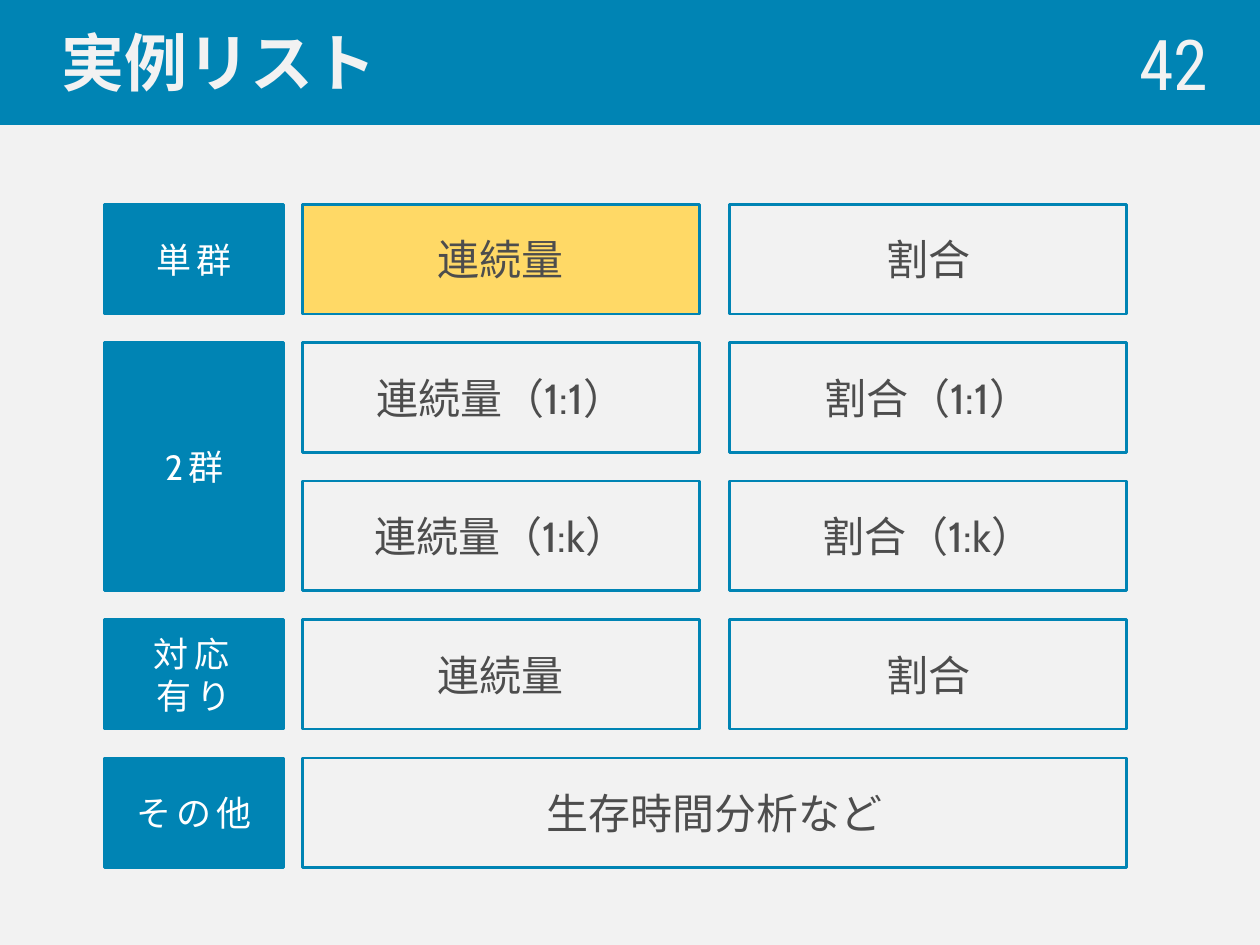
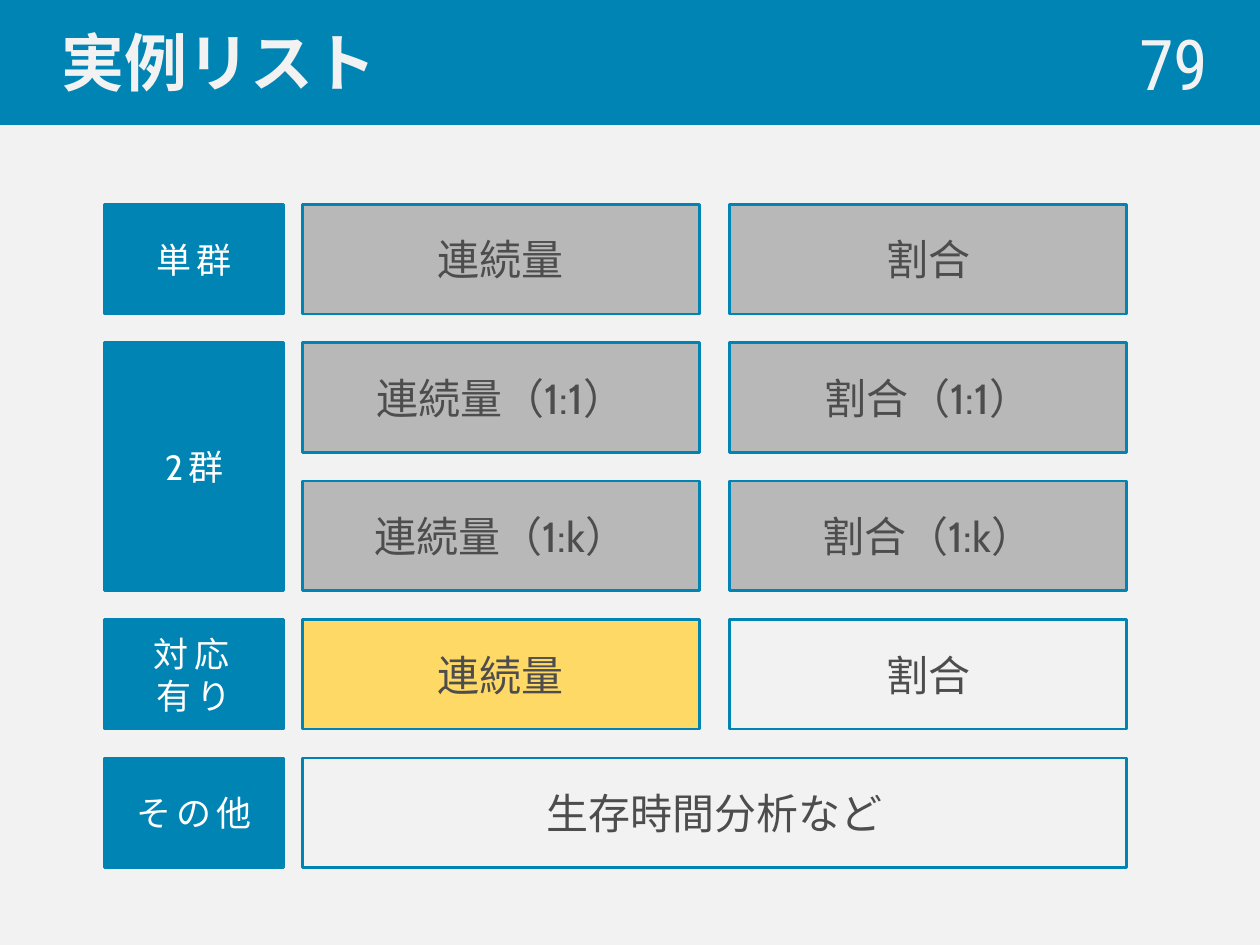
from dataclasses import dataclass
from lxml import etree
from pptx import Presentation
from pptx.dml.color import RGBColor
from pptx.enum.shapes import MSO_SHAPE
from pptx.enum.text import MSO_ANCHOR, PP_ALIGN
from pptx.oxml.ns import qn
from pptx.util import Cm, Pt

RECT = MSO_SHAPE.RECTANGLE
MIDDLE = MSO_ANCHOR.MIDDLE
LEFT, CENTER, RIGHT = PP_ALIGN.LEFT, PP_ALIGN.CENTER, PP_ALIGN.RIGHT


@dataclass(frozen=True)
class Theme:
    blue: str = "0084B4"
    paper: str = "F2F2F2"
    white: str = "FFFFFF"
    ink: str = "4D4D4D"
    current: str = "FFD966"
    done: str = "B8B8B8"
    title_font: str = "Noto Sans CJK JP"
    number_font: str = "Roboto Condensed"
    body_font: str = "Cabin"
    title_size: int = 36
    number_size: int = 40
    cell_size: int = 24
    label_size: int = 20
    line: float = 1.5


T = Theme()


def write(sp, text, *, size, color, font=T.body_font, bold=False,
          align=CENTER, spacing=0, indent=0.25):
    """Put text in a shape; a vertical tab marks a line break."""
    tf = sp.text_frame
    tf.word_wrap = True
    tf.vertical_anchor = MIDDLE
    tf.margin_left = Cm(indent)
    p = tf.paragraphs[0]
    p.text = text
    p.alignment = align
    for r in p.runs:
        r.font.name = font
        r.font.size = Pt(size)
        r.font.bold = bold
        r.font.color.rgb = RGBColor.from_string(color)
        rPr = r.font._element
        etree.SubElement(rPr, qn("a:ea")).set("typeface", font)
        if spacing:
            rPr.set("spc", str(spacing * 100))


def box(s, x, y, w, h, fill=None):
    """Draw a blue-edged rectangle, measured in centimetres."""
    sp = s.shapes.add_shape(RECT, Cm(x), Cm(y), Cm(w), Cm(h))
    sp.shadow.inherit = False
    if fill:
        sp.fill.solid()
        sp.fill.fore_color.rgb = RGBColor.from_string(fill)
    else:
        sp.fill.background()
    sp.line.color.rgb = RGBColor.from_string(T.blue)
    sp.line.width = Pt(T.line)
    return sp


# Grid in centimetres
TOP, PITCH, ROW_H = 4.12, 2.79, 2.21
LABEL_X, LABEL_W = 2.11, 3.61
COLS, CELL_W = (6.1, 14.71), 8.0

# Row labels: text, first row, number of rows
LABELS = [("単群", 0, 1), ("2群", 1, 2), ("対応\v有り", 3, 1), ("その他", 4, 1)]
ROWS = [
    ["連続量", "割合"],
    ["連続量（1:1）", "割合（1:1）"],
    ["連続量（1:k）", "割合（1:k）"],
    ["連続量", "割合"],
    ["生存時間分析など"],
]

# Page number and the row whose first cell is current; rows above are done
PAGES = [(42, 0), (79, 3)]

prs = Presentation()
prs.slide_width, prs.slide_height = Cm(25.4), Cm(19.05)

for number, current_row in PAGES:
    s = prs.slides.add_slide(prs.slide_layouts[6])
    s.background.fill.solid()
    s.background.fill.fore_color.rgb = RGBColor.from_string(T.paper)

    # Title band and page number
    band = box(s, 0, 0, 25.4, 2.49, T.blue)
    write(band, "実例リスト", size=T.title_size, color=T.paper,
          font=T.title_font, bold=True, align=LEFT, indent=1.25)
    page = s.shapes.add_textbox(Cm(19.71), Cm(0.48), Cm(4.9), Cm(1.55))
    write(page, str(number), size=T.number_size, color=T.paper,
          font=T.number_font, align=RIGHT)

    # Row labels
    for text, first, count in LABELS:
        sp = box(s, LABEL_X, TOP + first * PITCH, LABEL_W,
                 ROW_H + (count - 1) * PITCH, T.blue)
        write(sp, text, size=T.label_size, color=T.white, spacing=3)

    # Example cells; a lone cell spans both columns
    for row, texts in enumerate(ROWS):
        width = CELL_W if len(texts) > 1 else COLS[1] + CELL_W - COLS[0]
        for col, (x, text) in enumerate(zip(COLS, texts)):
            fill = T.done if row < current_row else None
            if (row, col) == (current_row, 0):
                fill = T.current
            sp = box(s, x, TOP + row * PITCH, width, ROW_H, fill)
            write(sp, text, size=T.cell_size, color=T.ink)

prs.save("out.pptx")
